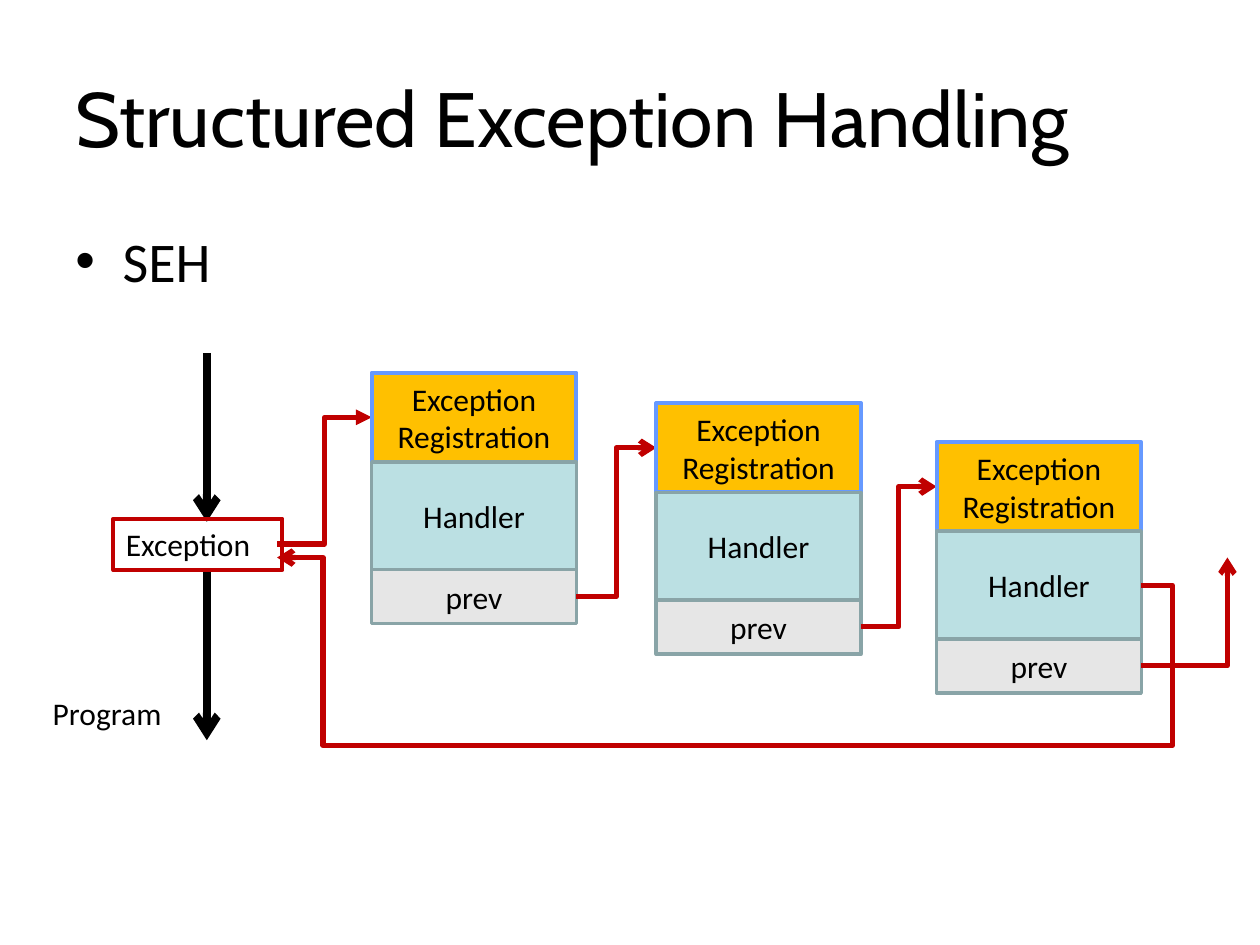
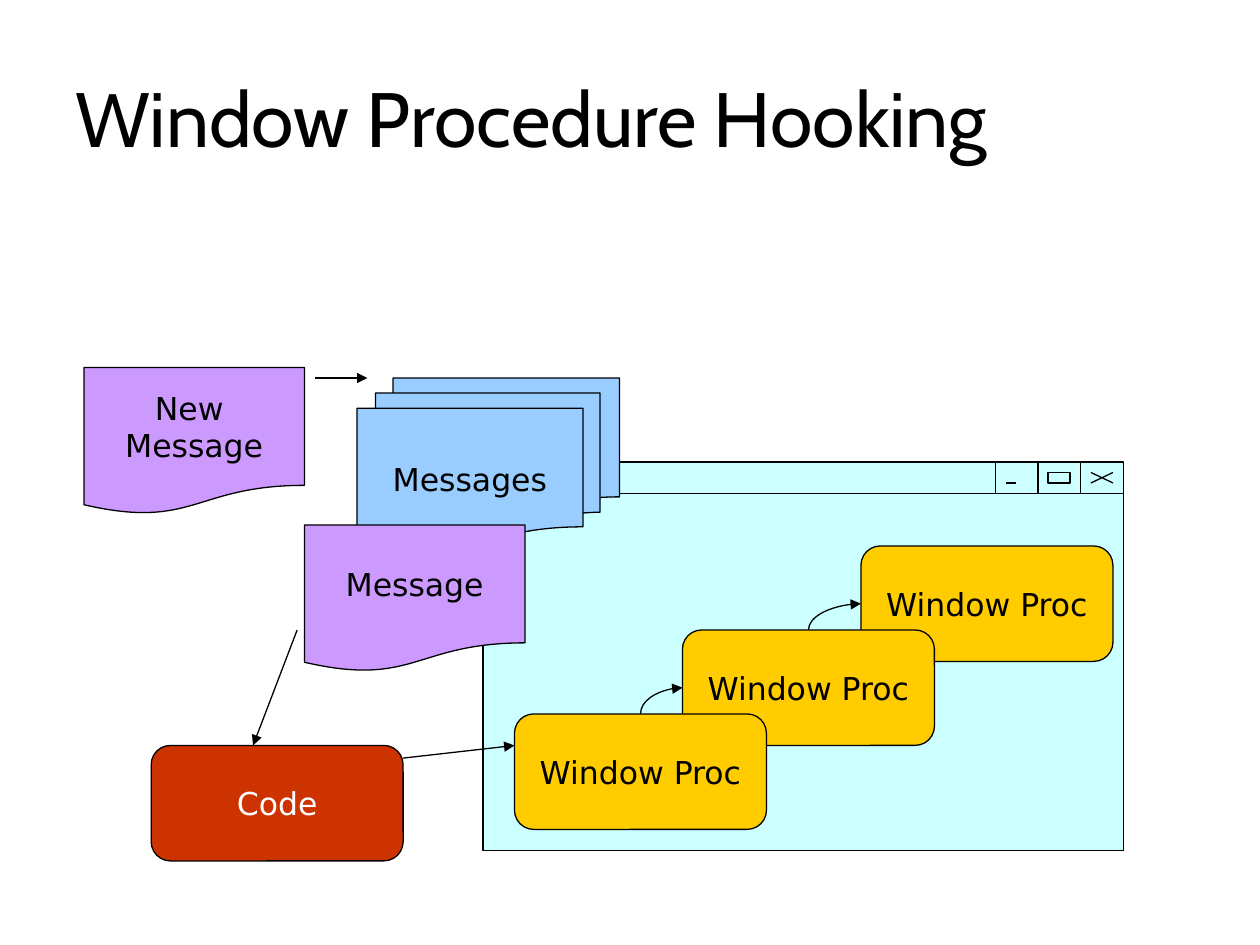
from lxml.etree import SubElement
from pptx import Presentation
from pptx.dml.color import RGBColor
from pptx.enum.shapes import MSO_CONNECTOR as Link, MSO_SHAPE as Shape
from pptx.enum.text import MSO_ANCHOR as Anchor, PP_ALIGN as Align
from pptx.oxml.ns import qn
from pptx.util import Emu, Pt

# Grid: 120 columns by 90 rows of square cells, twelve to the inch
CELL = 76200
COLUMNS, ROWS = 120, 90
BLACK, WHITE, RED = "000000", "FFFFFF", "C00000"
TEAL_EDGE = "89A4A7"
color = RGBColor.from_string


def box(slide, kind, at, text="", fill=None, edge=BLACK, weight=0.75, font="Calibri",
        size=18, ink=BLACK, align=Align.CENTER, anchor=Anchor.MIDDLE, wrap=True):
    """Place a shape, or a plain text box when kind is None."""
    place = [Emu(round(n * CELL)) for n in at]
    if kind is None:
        part = slide.shapes.add_textbox(*place)
    else:
        part = slide.shapes.add_shape(kind, *place)
        part.shadow.inherit = False
        part.line.color.rgb = color(edge)
        part.line.width = Pt(weight)
        if fill:
            part.fill.solid()
            part.fill.fore_color.rgb = color(fill)
        else:
            part.fill.background()
    frame = part.text_frame
    frame.word_wrap = wrap
    frame.vertical_anchor = anchor
    for i, words in enumerate(text.split("\n") if text else []):
        paragraph = frame.add_paragraph() if i else frame.paragraphs[0]
        paragraph.alignment = align
        run = paragraph.add_run()
        run.text = words
        run.font.name, run.font.size = font, Pt(size)
        run.font.color.rgb = color(ink)
    return part


def link(slide, start, end, kind=Link.STRAIGHT, ink=BLACK, weight=0.75, head=None,
         preset=None, bends=(), turn=0):
    """Draw a line; bends are percentages, turn is a rotation in degrees."""
    ends = [Emu(round(n * CELL)) for n in (*start, *end)]
    line = slide.shapes.add_connector(kind, *ends)
    line.line.color.rgb = color(ink)
    line.line.width = Pt(weight)
    props = line._element.spPr
    if head:
        SubElement(props.find(qn("a:ln")), qn("a:tailEnd"), type=head)
    SubElement(props, qn("a:effectLst"))
    geometry = props.find(qn("a:prstGeom"))
    if preset:
        geometry.set("prst", preset)
    for i, bend in enumerate(bends, 1):
        SubElement(geometry.find(qn("a:avLst")), qn("a:gd"),
                   name=f"adj{i}", fmla=f"val {round(bend * 1000)}")
    if turn:
        props.find(qn("a:xfrm")).set("rot", str(turn * 60000))


deck = Presentation()
deck.slide_width, deck.slide_height = Emu(COLUMNS * CELL), Emu(ROWS * CELL)

# Slides with their shared title style
seh, hooking = [deck.slides.add_slide(deck.slide_layouts[6]) for _ in range(2)]
for slide, title in ((seh, "Structured Exception Handling"),
                     (hooking, "Window Procedure Hooking")):
    box(slide, None, (6, 3.6, 108, 15), title, font="Cabin", size=44, align=Align.LEFT)

# Slide 1: bullet
topic = box(seh, None, (6, 21, 108, 9.8), "SEH", size=32, align=Align.LEFT, anchor=Anchor.TOP)
bullet = topic.text_frame.paragraphs[0]._p.get_or_add_pPr()
bullet.set("marL", "342900")
bullet.set("indent", "-342900")
SubElement(bullet, qn("a:buFont"), typeface="Arial")
SubElement(bullet, qn("a:buChar"), char="•")

# Slide 1: program flow, interrupted by the exception
for top in (33.6, 54.4):
    link(seh, (19.7, top), (19.7, top + 16.1), weight=4.5, head="arrow")
box(seh, None, (3.84, 65.5, 14.8, 4.8), "Program", align=Align.LEFT, anchor=Anchor.TOP)
box(seh, Shape.RECTANGLE, (10.8, 49.4, 16.1, 4.9), "Exception", edge=RED, weight=2.25,
    align=Align.LEFT, anchor=Anchor.TOP)

# Slide 1: chain of registration records, each reached from the one before
record_width = 19.5
fields = (("Exception\nRegistration", 8.5, "FFC000", "6699FF", 2.25),
          ("Handler", 10.25, "BBE0E3", TEAL_EDGE, 2),
          ("prev", 5.15, "E6E6E6", TEAL_EDGE, 2))
red_elbow = dict(kind=Link.ELBOW, ink=RED, weight=3)
source, head = (26.4, 51.8), "triangle"
for left, top in ((35.4, 35.5), (62.5, 38.4), (89.2, 42.1)):
    link(seh, source, (left, top + 4.25), head=head, **red_elbow)
    row = top
    for label, height, fill, edge, weight in fields:
        box(seh, Shape.RECTANGLE, (left, row, record_width, height), label,
            fill, edge, weight)
        row += height
    source, head = (left + record_width, row - 2.6), "arrow"

# Slide 1: way back from the last handler, and the end of the chain
link(seh, (left + record_width, top + 13.65), (26.4, 53.1), head="arrow",
     preset="bentConnector5", bends=(-3.6, -575, 94.7), **red_elbow)
link(seh, source, (116.9, 53.1), head="arrow", preset="bentConnector2", **red_elbow)

# Slide 2: application window with its title bar
window_left, window_top, window_right, bar_bottom = 46, 44, 107, 47
box(hooking, Shape.RECTANGLE, (window_left, window_top, 61, 37), fill="CCFFFF")
link(hooking, (window_left, bar_bottom), (window_right, bar_bottom))
for i in range(1, 4):
    x = window_right - 4.07 * i
    link(hooking, (x, window_top), (x, bar_bottom))
link(hooking, (95.8, 46), (96.8, 46))
box(hooking, Shape.RECTANGLE, (99.8, 45, 2.1, 1), fill="CCFFFF")
link(hooking, (103.9, 45), (106, 46))
link(hooking, (106, 45), (103.9, 46))

# Slide 2: message queue
label_style = dict(font="DejaVu Sans", wrap=False)
box(hooking, Shape.FLOWCHART_MULTIDOCUMENT, (34, 36, 25, 17), "Messages", "99CCFF",
    **label_style)
for left, top, label in ((29, 50, "Message"), (8, 35, "New \nMessage")):
    box(hooking, Shape.FLOWCHART_DOCUMENT, (left, top, 21, 14), label, "CC99FF",
        **label_style)

# Slide 2: window procedures, back to front, each called by the one in front
procs = ((82, 52), (65, 60), (49, 68))
for i, (left, top) in enumerate(procs):
    if i:
        begin_x, begin_y = left + 12, top
        end_x, end_y = procs[i - 1][0], procs[i - 1][1] + 5.5
        mid_x, mid_y = (begin_x + end_x) / 2, (begin_y + end_y) / 2
        half_w, half_h = (begin_y - end_y) / 2, (end_x - begin_x) / 2
        link(hooking, (mid_x + half_w, mid_y + half_h), (mid_x - half_w, mid_y - half_h),
             Link.CURVE, head="triangle", preset="curvedConnector2", turn=90)
    box(hooking, Shape.ROUNDED_RECTANGLE, (left, top, 24, 11), "Window Proc", "FFCC00",
        **label_style)

# Slide 2: hooking code and the message route
box(hooking, Shape.ROUNDED_RECTANGLE, (14.4, 71, 24, 11), "Code", "CC3300", ink=WHITE,
    **label_style)
for start, end in (((28.3, 60), (24.1, 71)), ((30, 36), (35, 36)), ((38.4, 72.2), (49, 71))):
    link(hooking, start, end, head="triangle")

deck.save("out.pptx")
